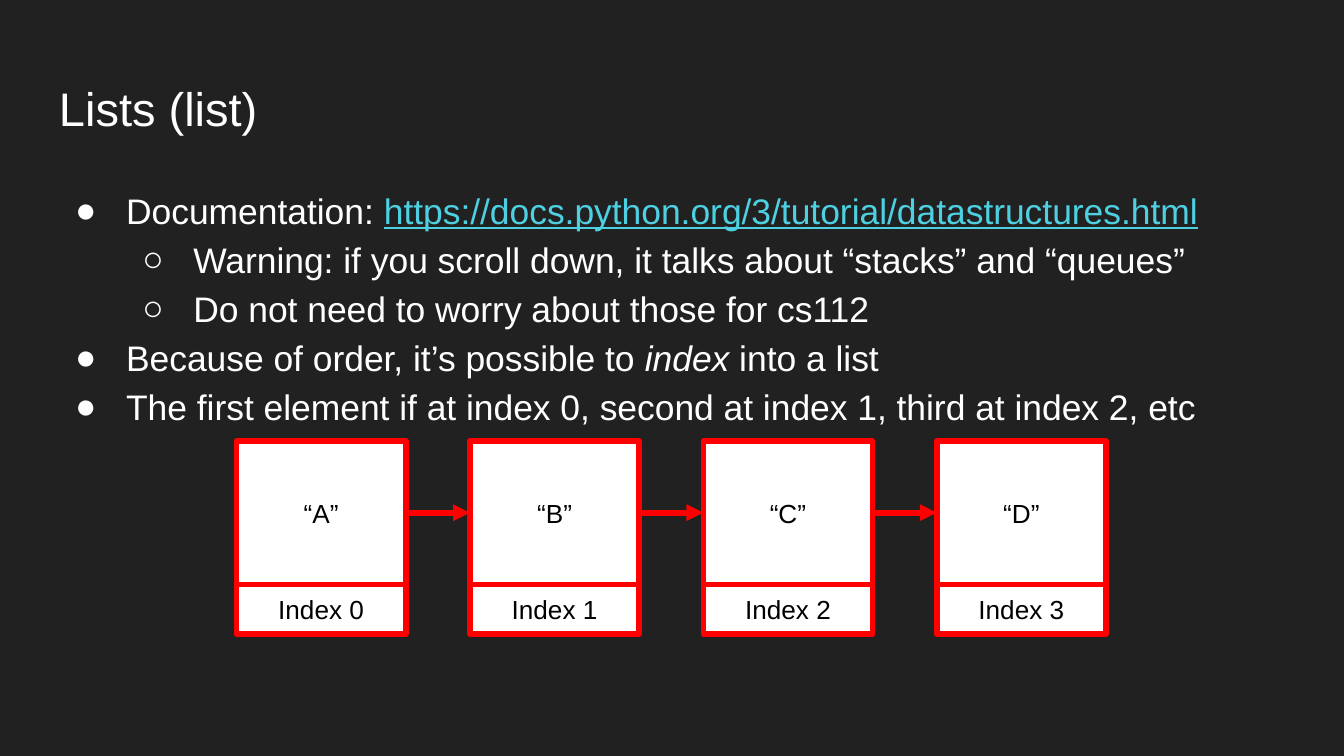
from pptx import Presentation
from pptx.dml.color import RGBColor
from pptx.enum.shapes import MSO_CONNECTOR, MSO_SHAPE
from pptx.enum.text import MSO_ANCHOR, PP_ALIGN
from pptx.oxml.ns import qn
from pptx.util import Inches, Pt
from lxml import etree

STRAIGHT = MSO_CONNECTOR.STRAIGHT
RECTANGLE = MSO_SHAPE.RECTANGLE
TOP, MIDDLE = MSO_ANCHOR.TOP, MSO_ANCHOR.MIDDLE
LEFT, CENTER = PP_ALIGN.LEFT, PP_ALIGN.CENTER

WIDTH = 10
HEIGHT = WIDTH * 9 / 16
DARK, WHITE, BLACK, RED, CYAN = "212121", "FFFFFF", "000000", "FF0000", "4DD0E1"

BULLETS = [
    (0, [("Documentation: ", ""),
         ("https://docs.python.org/3/tutorial/datastructures.html", "link")]),
    (1, [("Warning: if you scroll down, it talks about “stacks” and “queues”", "")]),
    (1, [("Do not need to worry about those for cs112", "")]),
    (0, [("Because of order, it’s possible to ", ""), ("index", "italic"),
         (" into a list", "")]),
    (0, [("The first element if at index 0, second at index 1, third at index 2, etc", "")]),
]
LETTERS = "ABCD"
FIRST_LEFT, LAST_LEFT, CELL_WIDTH = 1.76, 6.97, 1.26
CELL_TOP, CELL_HEIGHT, INDEX_HEIGHT = 3.28, 1.07, 0.37
LABEL_HEIGHT = 0.44


def color(value):
    return RGBColor.from_string(value)


class SlideBuilder:
    """Holds the style and the current slide, and adds each kind of element."""

    font = "Arial"
    line_width = Pt(3)

    def __init__(self, presentation):
        self.slide = presentation.slides.add_slide(presentation.slide_layouts[6])
        fill = self.slide.background.fill
        fill.solid()
        fill.fore_color.rgb = color(DARK)

    def style(self, paragraph, size, ink, align=LEFT):
        paragraph.alignment = align
        paragraph.font.name = self.font
        paragraph.font.size = Pt(size)
        paragraph.font.color.rgb = color(ink)

    def frame(self, left, top, width, height, anchor):
        box = self.slide.shapes.add_textbox(*map(Inches, (left, top, width, height)))
        frame = box.text_frame
        frame.word_wrap = True
        frame.vertical_anchor = anchor
        frame.margin_left = frame.margin_right = Inches(0.1)
        frame.margin_top = frame.margin_bottom = Inches(0.1)
        return frame

    def text(self, words, left, top, width, height, size, ink, align=LEFT):
        paragraph = self.frame(left, top, width, height, MIDDLE).paragraphs[0]
        paragraph.text = words
        self.style(paragraph, size, ink, align)

    def bullets(self, items, left, top, width, height, size):
        frame = self.frame(left, top, width, height, TOP)
        for number, (level, pieces) in enumerate(items):
            paragraph = frame.add_paragraph() if number else frame.paragraphs[0]
            paragraph.level = level
            paragraph.line_spacing = 1.15
            self.style(paragraph, size, WHITE)
            self.bullet(paragraph, level, size)
            for words, kind in pieces:
                run = paragraph.add_run()
                run.text = words
                if kind == "italic":
                    run.font.italic = True
                elif kind == "link":
                    run.font.underline = True
                    run.font.color.rgb = color(CYAN)

    def bullet(self, paragraph, level, size):
        properties = paragraph._p.get_or_add_pPr()
        properties.set("marL", str(Inches(0.5 * (level + 1))))
        properties.set("indent", str(Inches(-0.38)))
        bullet_color = etree.Element(qn("a:buClr"))
        etree.SubElement(bullet_color, qn("a:srgbClr"), val=WHITE)
        bullet_size = etree.Element(qn("a:buSzPts"), val=str(size * 100))
        bullet_font = etree.Element(qn("a:buFont"), typeface=self.font)
        bullet_mark = etree.Element(qn("a:buChar"), char="●○"[level])
        defaults = properties.find(qn("a:defRPr"))
        for element in (bullet_color, bullet_size, bullet_font, bullet_mark):
            defaults.addprevious(element)

    def cell(self, left, top, width, height):
        shape = self.slide.shapes.add_shape(
            RECTANGLE, *map(Inches, (left, top, width, height)))
        shape.shadow.inherit = False
        shape.fill.solid()
        shape.fill.fore_color.rgb = color(WHITE)
        shape.line.color.rgb = color(RED)
        shape.line.width = self.line_width

    def arrow(self, start, end, height):
        connector = self.slide.shapes.add_connector(
            STRAIGHT, *map(Inches, (start, height, end, height)))
        connector.line.color.rgb = color(RED)
        connector.line.width = self.line_width
        etree.SubElement(connector.line._get_or_add_ln(), qn("a:tailEnd"), type="triangle")
        etree.SubElement(connector._element.spPr, qn("a:effectLst"))


def main():
    presentation = Presentation()
    presentation.slide_width, presentation.slide_height = Inches(WIDTH), Inches(HEIGHT)
    builder = SlideBuilder(presentation)
    margin = 0.34
    content_width = WIDTH - 2 * margin
    builder.text("Lists (list)", margin, 0.49, content_width, 0.63, 25.2, WHITE)
    builder.bullets(BULLETS, margin, 1.26, content_width, 3.74, 19)

    step = (LAST_LEFT - FIRST_LEFT) / (len(LETTERS) - 1)
    columns = [FIRST_LEFT + step * index for index in range(len(LETTERS))]
    middle = CELL_TOP + CELL_HEIGHT / 2
    index_top = CELL_TOP + CELL_HEIGHT
    label_top = index_top + (INDEX_HEIGHT - LABEL_HEIGHT) / 2
    for left in columns:
        builder.cell(left, CELL_TOP, CELL_WIDTH, CELL_HEIGHT)
    for left, following in zip(columns, columns[1:]):
        builder.arrow(left + CELL_WIDTH, following, middle)
    for letter, left in zip(LETTERS, columns):
        builder.text(f"“{letter}”", left, middle - LABEL_HEIGHT / 2, CELL_WIDTH,
                     LABEL_HEIGHT, 14, BLACK, CENTER)
    for left in columns:
        builder.cell(left, index_top, CELL_WIDTH, INDEX_HEIGHT)
    for index, left in enumerate(columns):
        builder.text(f"Index {index}", left, label_top, CELL_WIDTH,
                     LABEL_HEIGHT, 14, BLACK, CENTER)
    presentation.save("out.pptx")


if __name__ == "__main__":
    main()
